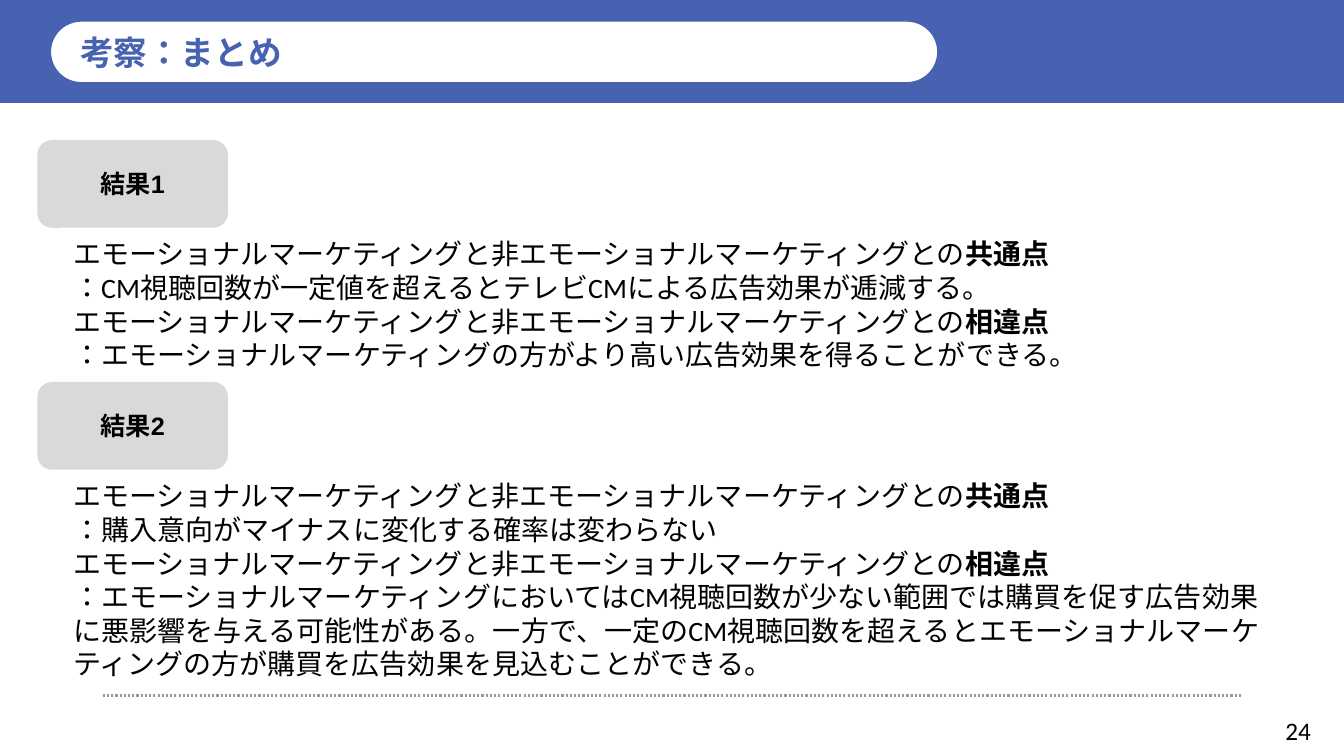
from dataclasses import dataclass

from lxml.etree import SubElement
from pptx import Presentation
from pptx.dml.color import RGBColor
from pptx.enum.dml import MSO_LINE_DASH_STYLE as Dash
from pptx.enum.lang import MSO_LANGUAGE_ID as Lang
from pptx.enum.shapes import MSO_CONNECTOR as Wire, MSO_SHAPE as Kind
from pptx.enum.text import MSO_ANCHOR as Anchor, PP_ALIGN as Align
from pptx.oxml.ns import qn
from pptx.util import Inches, Pt

WIDE, HIGH = 13.33, 7.5
HUES = {"blue": "4662B0", "white": "FFFFFF", "gray": "D9D9D9",
        "dots": "999999", "ink": "000000"}
LEAD = "エモーショナルマーケティングと非エモーショナルマーケティングとの"
SAME, DIFF = "共通点", "相違点"
BREAK = "\v"
STEP = 32  # percent of the height from one result to the next


@dataclass(frozen=True)
class Box:
    """Place and size in percent of the slide."""
    left: float
    top: float
    width: float
    height: float

    def down(self, gap: float) -> "Box":
        return Box(self.left, self.top + gap, self.width, self.height)

    def lens(self) -> tuple:
        return (across(self.left), along(self.top),
                across(self.width), along(self.height))


@dataclass(frozen=True)
class Font:
    name: str
    size: int
    hue: str = "ink"
    bold: bool = False


@dataclass(frozen=True)
class Result:
    label: str
    lines: tuple
    height: float


TAG = Box(2.78, 18.53, 14.18, 11.6)
BODY = Font("Calibri", 20)
RESULTS = (
    Result("結果1", (
        (LEAD, SAME),
        ("：CM視聴回数が一定値を超えるとテレビCMによる広告効果が逓減する。",),
        (LEAD, DIFF),
        ("：エモーショナルマーケティングの方がより高い広告効果を得ることができる。",),
    ), 19.33),
    Result("結果2", (
        (LEAD, SAME, BREAK, "：購入意向がマイナスに変化する確率は変わらない"),
        (LEAD, DIFF),
        ("：エモーショナルマーケティングにおいてはCM視聴回数が少ない範囲では"
         "購買を促す広告効果に悪影響を与える可能性がある。"
         "一方で、一定のCM視聴回数を超えるとエモーショナルマーケティングの方が"
         "購買を広告効果を見込むことができる。",),
    ), 28.27),
)


def across(part: float) -> int:
    return Inches(WIDE * part / 100)


def along(part: float) -> int:
    return Inches(HIGH * part / 100)


def paint(hue: str) -> RGBColor:
    return RGBColor.from_string(HUES[hue])


def style(run, font: Font) -> None:
    run.font.name = font.name
    run.font.size = Pt(font.size)
    run.font.bold = font.bold or run.text in (SAME, DIFF)
    run.font.color.rgb = paint(font.hue)
    run.font.language_id = Lang.JAPANESE


def add_block(slide, kind: Kind, box: Box, hue: str):
    block = slide.shapes.add_shape(kind, *box.lens())
    block.shadow.inherit = False
    block.fill.solid()
    block.fill.fore_color.rgb = paint(hue)
    block.line.fill.background()
    return block


def add_label(block, text: str, font: Font, align: Align, inset: float = 0) -> None:
    frame = block.text_frame
    frame.word_wrap = True
    frame.vertical_anchor = Anchor.MIDDLE
    frame.margin_left = Inches(inset)
    frame.margin_top = frame.margin_right = frame.margin_bottom = 0
    frame.text = text
    para = frame.paragraphs[0]
    para.alignment = align
    style(para.runs[0], font)


def add_text(slide, box: Box, lines: tuple, font: Font) -> None:
    frame = slide.shapes.add_textbox(*box.lens()).text_frame
    frame.word_wrap = True
    frame.text = "\n".join(line[0] for line in lines)
    for para, line in zip(frame.paragraphs, lines):
        for part in line[1:]:
            if part == BREAK:
                para.add_line_break()
            else:
                para.add_run().text = part
        for run in para.runs:
            style(run, font)


def add_rule(slide, left: float, right: float, top: float) -> None:
    rule = slide.shapes.add_connector(
        Wire.STRAIGHT, across(left), along(top), across(right), along(top))
    rule.line.color.rgb = paint("dots")
    rule.line.width = Pt(1.5)
    rule.line.dash_style = Dash.ROUND_DOT
    SubElement(rule.element.spPr, qn("a:effectLst"))


def main() -> None:
    deck = Presentation()
    deck.slide_width, deck.slide_height = Inches(WIDE), Inches(HIGH)
    slide = deck.slides.add_slide(deck.slide_layouts[6])

    # Title band
    add_block(slide, Kind.RECTANGLE, Box(0, 0, 100, 13.6), "blue")
    pill = add_block(slide, Kind.ROUNDED_RECTANGLE,
                     Box(3.38, 2.13, 66.77, 9.47), "white")
    pill.adjustments[0] = 0.5
    pill.line.color.rgb = paint("blue")
    pill.line.width = Pt(8)
    add_label(pill, "考察：まとめ", Font("Arial", 24, "blue", True),
              Align.LEFT, 0.24)

    # Footer
    add_rule(slide, 7.65, 92.35, 92)
    add_text(slide, Box(94.9, 94, 3.53, 5.33), (("24",),), Font("Calibri", 18))

    # Results
    for row, item in enumerate(RESULTS):
        gap = row * STEP
        add_text(slide, Box(4.7, 30.67, 90.62, item.height).down(gap),
                 item.lines, BODY)
        tag = add_block(slide, Kind.ROUNDED_RECTANGLE, TAG.down(gap), "gray")
        add_label(tag, item.label, Font("Arial", 18, bold=True), Align.CENTER)

    deck.save("out.pptx")


if __name__ == "__main__":
    main()
